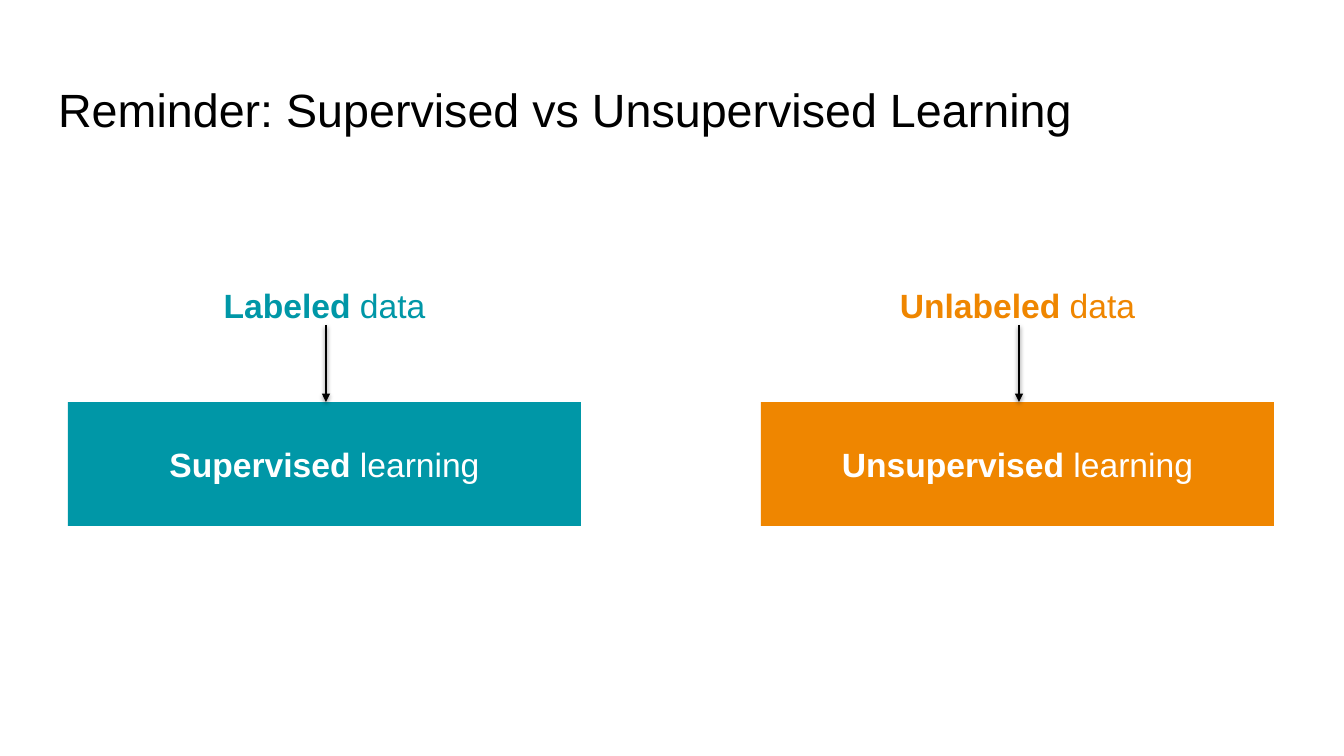
from dataclasses import dataclass

from lxml import etree
from pptx import Presentation
from pptx.dml.color import RGBColor
from pptx.enum.shapes import MSO_CONNECTOR, MSO_SHAPE
from pptx.enum.text import MSO_ANCHOR, PP_ALIGN
from pptx.oxml import parse_xml
from pptx.oxml.ns import nsdecls, qn
from pptx.util import Pt

LEFT, CENTER = PP_ALIGN.LEFT, PP_ALIGN.CENTER
TOP, MIDDLE, BOTTOM = MSO_ANCHOR.TOP, MSO_ANCHOR.MIDDLE, MSO_ANCHOR.BOTTOM
RECTANGLE = MSO_SHAPE.RECTANGLE
STRAIGHT = MSO_CONNECTOR.STRAIGHT
TITLE_ONLY = 5
EMU_PER_PX = 914400 / 100.8


@dataclass(frozen=True)
class Theme:
    font: str = "Arial"
    black: str = "000000"
    white: str = "FFFFFF"
    teal: str = "0097A7"
    orange: str = "EF8600"
    title_size: float = 33.3
    body_size: float = 24
    arrow_width: float = 2


def px(length):
    return round(length * EMU_PER_PX)


def write_text(frame, text, *, font, size, color, bold="", align=LEFT,
               anchor=TOP, inset=(10, 5)):
    frame.word_wrap = True
    frame.vertical_anchor = anchor
    frame.margin_left = frame.margin_right = px(inset[0])
    frame.margin_top = frame.margin_bottom = px(inset[1])
    paragraph = frame.paragraphs[0]
    paragraph.alignment = align
    for content, is_bold in ((bold, True), (text, False)):
        if content:
            run = paragraph.add_run()
            run.text = content
            run.font.name = font
            run.font.size = Pt(size)
            run.font.bold = is_bold
            run.font.color.rgb = RGBColor.from_string(color)


class SlideBuilder:
    def __init__(self, presentation, theme):
        self.theme = theme
        self.slide = presentation.slides.add_slide(
            presentation.slide_layouts[TITLE_ONLY])

    def title(self, text, left, top, width, height):
        shape = self.slide.shapes.title
        shape.left, shape.top = px(left), px(top)
        shape.width, shape.height = px(width), px(height)
        write_text(shape.text_frame, text, font=self.theme.font,
                   size=self.theme.title_size, color=self.theme.black,
                   anchor=BOTTOM, inset=(13, 13))

    def label(self, bold, text, color, left, top, width, height):
        shape = self.slide.shapes.add_textbox(
            px(left), px(top), px(width), px(height))
        write_text(shape.text_frame, text, bold=bold, font=self.theme.font,
                   size=self.theme.body_size, color=color, align=CENTER)

    def box(self, bold, text, fill, left, top, width, height):
        shape = self.slide.shapes.add_shape(
            RECTANGLE, px(left), px(top), px(width), px(height))
        shape.shadow.inherit = False
        shape.fill.solid()
        shape.fill.fore_color.rgb = RGBColor.from_string(fill)
        shape.line.fill.background()
        write_text(shape.text_frame, text, bold=bold, font=self.theme.font,
                   size=self.theme.body_size, color=self.theme.white,
                   align=CENTER, anchor=MIDDLE)

    def down_arrow(self, x, top, bottom):
        connector = self.slide.shapes.add_connector(
            STRAIGHT, px(x), px(top), px(x), px(bottom))
        connector.line.width = Pt(self.theme.arrow_width)
        connector.line.color.rgb = RGBColor.from_string(self.theme.black)
        etree.SubElement(connector.line._get_or_add_ln(), qn("a:tailEnd"),
                         type="triangle")
        connector._element.spPr.append(parse_xml(
            f'<a:effectLst {nsdecls("a")}>'
            '<a:outerShdw blurRad="40000" dist="20000" dir="5400000" '
            'rotWithShape="0">'
            f'<a:srgbClr val="{self.theme.black}"><a:alpha val="38000"/>'
            '</a:srgbClr></a:outerShdw></a:effectLst>'))


def main():
    theme = Theme()
    presentation = Presentation()
    presentation.slide_width, presentation.slide_height = px(1344), px(756)
    builder = SlideBuilder(presentation, theme)
    builder.title("Reminder: Supervised vs Unsupervised Learning",
                  45, 66, 1252, 84)

    columns = (
        (68, "Labeled", "Supervised", theme.teal),
        (761, "Unlabeled", "Unsupervised", theme.orange),
    )
    for left, data_kind, learning_kind, color in columns:
        builder.label(data_kind, " data", color, left + 66, 280, 381, 50)
        builder.box(learning_kind, " learning", color, left, 402, 513, 124)
        builder.down_arrow(left + 258, 325, 402)

    presentation.save("out.pptx")


if __name__ == "__main__":
    main()
